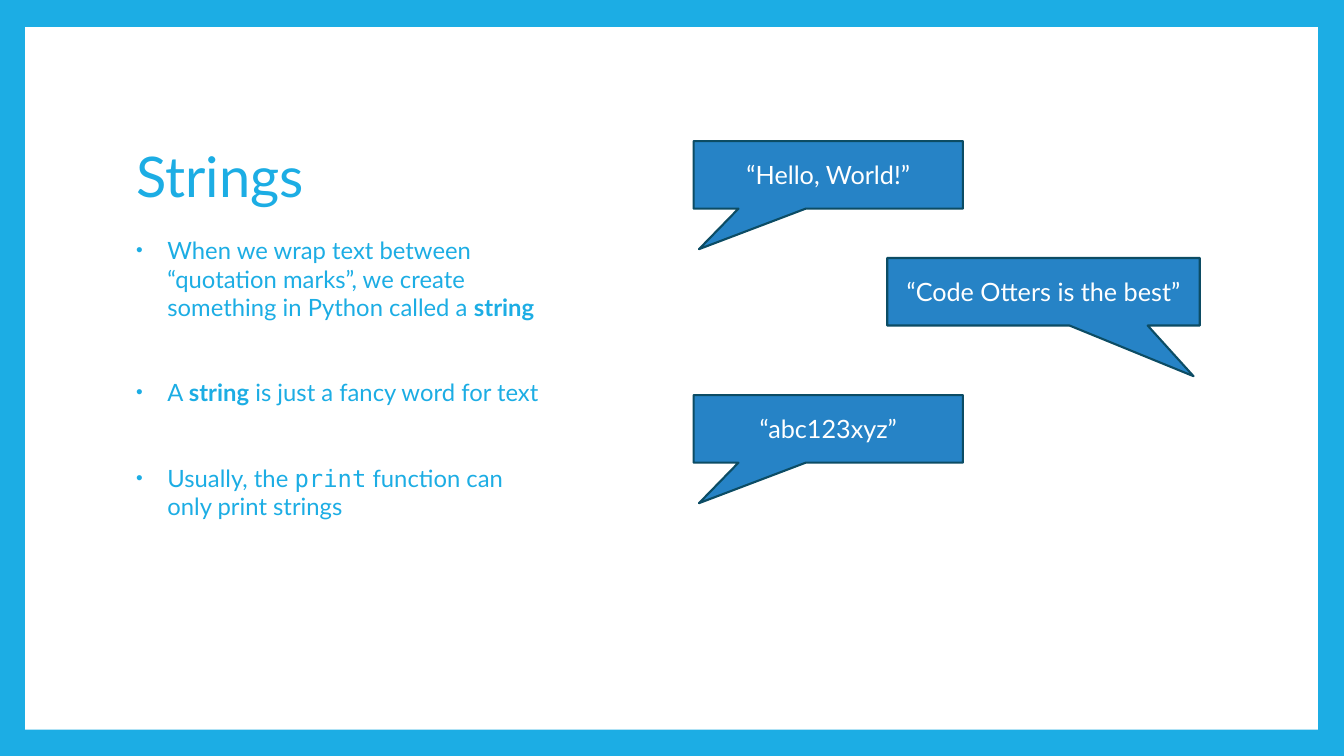
"""Build the slide that introduces strings, with three speech bubbles."""
import lxml.etree
import pptx
import pptx.dml.color
import pptx.enum.shapes
import pptx.enum.text
import pptx.oxml.ns
import pptx.util

PX = 9144
COLORS = {"cyan": "1CADE4", "blue": "2683C6", "edge": "0C4C64", "white": "FFFFFF"}
FONT, CODE_FONT = "Lato", "DejaVu Sans Mono"
SHAPES = pptx.enum.shapes.MSO_SHAPE
ALIGN = pptx.enum.text.PP_ALIGN
ANCHOR = pptx.enum.text.MSO_ANCHOR

BULLETS = [
    [("When we wrap text between “quotation marks”, we create something in Python called a ", ""),
     ("string", "bold")],
    [("A ", ""), ("string", "bold"), (" is just a fancy word for text", "")],
    [("Usually, the ", ""), ("print", "code"), (" function can only print strings", "")],
]
LEFT_TAIL, RIGHT_TAIL = (-0.48, 1.1), (0.48, 1.25)
BUBBLES = [
    ("“Hello, World!”", 688, 140, 267, LEFT_TAIL),
    ("“Code Otters is the best”", 880, 256, 310, RIGHT_TAIL),
    ("“abc123xyz”", 688, 392, 267, LEFT_TAIL),
]


def rgb(name):
    """Return the named colour."""
    return pptx.dml.color.RGBColor.from_string(COLORS[name])


def style_run(r, size, color, font=FONT, bold=False):
    """Set the font of a run."""
    r.font.name = font
    r.font.size = pptx.util.Pt(size)
    r.font.bold = bold
    r.font.color.rgb = rgb(color)


def place(sp, x, y, w, h):
    """Move and size a shape in px."""
    sp.left, sp.top, sp.width, sp.height = (v * PX for v in (x, y, w, h))


def add_box(s, kind, x, y, w, h, fill):
    """Add a filled preset shape without shadow or line."""
    sp = s.shapes.add_shape(kind, x * PX, y * PX, w * PX, h * PX)
    sp.shadow.inherit = False
    sp.fill.solid()
    sp.fill.fore_color.rgb = rgb(fill)
    sp.line.fill.background()
    return sp


def add_bubble(s, text, x, y, w, tail):
    """Add a speech bubble whose tail ends at the given offset."""
    sp = add_box(s, SHAPES.RECTANGULAR_CALLOUT, x, y, w, 67, "blue")
    sp.adjustments[0], sp.adjustments[1] = tail
    sp.line.color.rgb = rgb("edge")
    sp.line.width = pptx.util.Pt(1.5)
    tf = sp.text_frame
    tf.text = text
    tf.vertical_anchor = ANCHOR.MIDDLE
    p = tf.paragraphs[0]
    p.alignment = ALIGN.CENTER
    style_run(p.runs[0], 18, "white")


def set_title(sp, text):
    """Fill the title placeholder."""
    place(sp, 125, 120, 430, 93)
    tf = sp.text_frame
    tf.text = text
    tf.auto_size = pptx.enum.text.MSO_AUTO_SIZE.NONE
    tf.vertical_anchor = ANCHOR.BOTTOM
    p = tf.paragraphs[0]
    p.alignment = ALIGN.LEFT
    p.line_spacing = 0.9
    style_run(p.runs[0], 40, "cyan")


def set_bullet(p):
    """Give a paragraph a small hanging bullet."""
    ppr = p._p.get_or_add_pPr()
    ppr.set("marL", str(31 * PX))
    ppr.set("indent", str(-31 * PX))
    qn = pptx.oxml.ns.qn
    clr = lxml.etree.SubElement(ppr, qn("a:buClr"))
    lxml.etree.SubElement(clr, qn("a:srgbClr"), val=COLORS["cyan"])
    lxml.etree.SubElement(ppr, qn("a:buSzPct"), val="80000")
    lxml.etree.SubElement(ppr, qn("a:buFont"), typeface="Arial")
    lxml.etree.SubElement(ppr, qn("a:buChar"), char="•")


def set_bullets(sp, items):
    """Fill the body placeholder with widely spaced bullets."""
    place(sp, 125, 229, 430, 411)
    tf = sp.text_frame
    tf.auto_size = pptx.enum.text.MSO_AUTO_SIZE.NONE
    for i, parts in enumerate(items):
        p = tf.add_paragraph() if i else tf.paragraphs[0]
        p.space_before = pptx.util.Pt(40.4 if i else 10)
        set_bullet(p)
        for text, kind in parts:
            r = p.add_run()
            r.text = text
            style_run(r, 17, "cyan", CODE_FONT if kind == "code" else FONT, kind == "bold")


def main():
    """Build and save the slide."""
    prs = pptx.Presentation()
    prs.slide_width, prs.slide_height = 1333 * PX, 750 * PX
    s = prs.slides.add_slide(prs.slide_layouts[1])
    s.background.fill.solid()
    s.background.fill.fore_color.rgb = rgb("cyan")
    panel = add_box(s, SHAPES.RECTANGLE, 25, 27, 1282, 697, "white")
    s.shapes.title.element.addprevious(panel.element)
    set_title(s.shapes.title, "Strings")
    set_bullets(s.placeholders[1], BULLETS)
    for bubble in BUBBLES:
        add_bubble(s, *bubble)
    prs.save("out.pptx")


if __name__ == "__main__":
    main()
